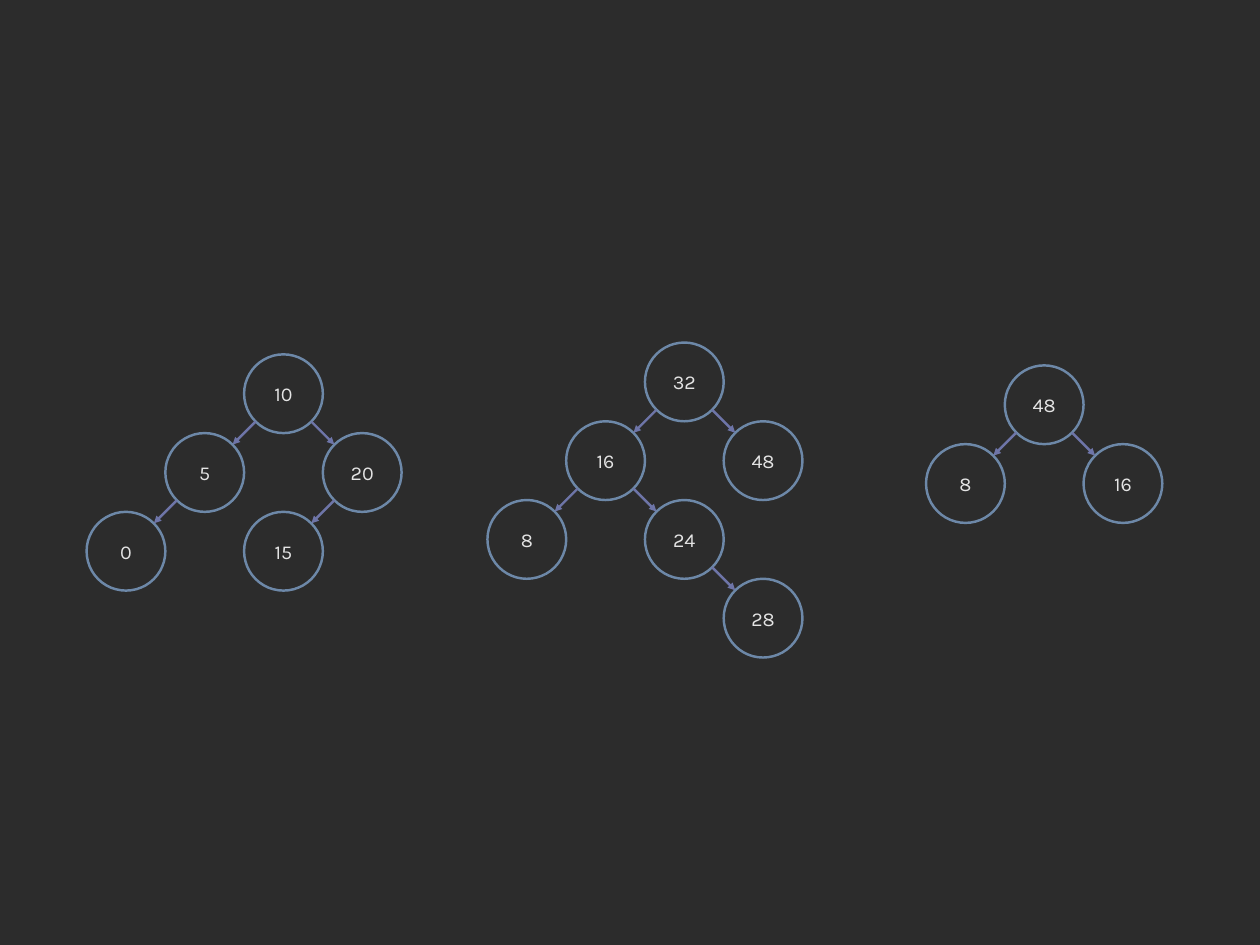
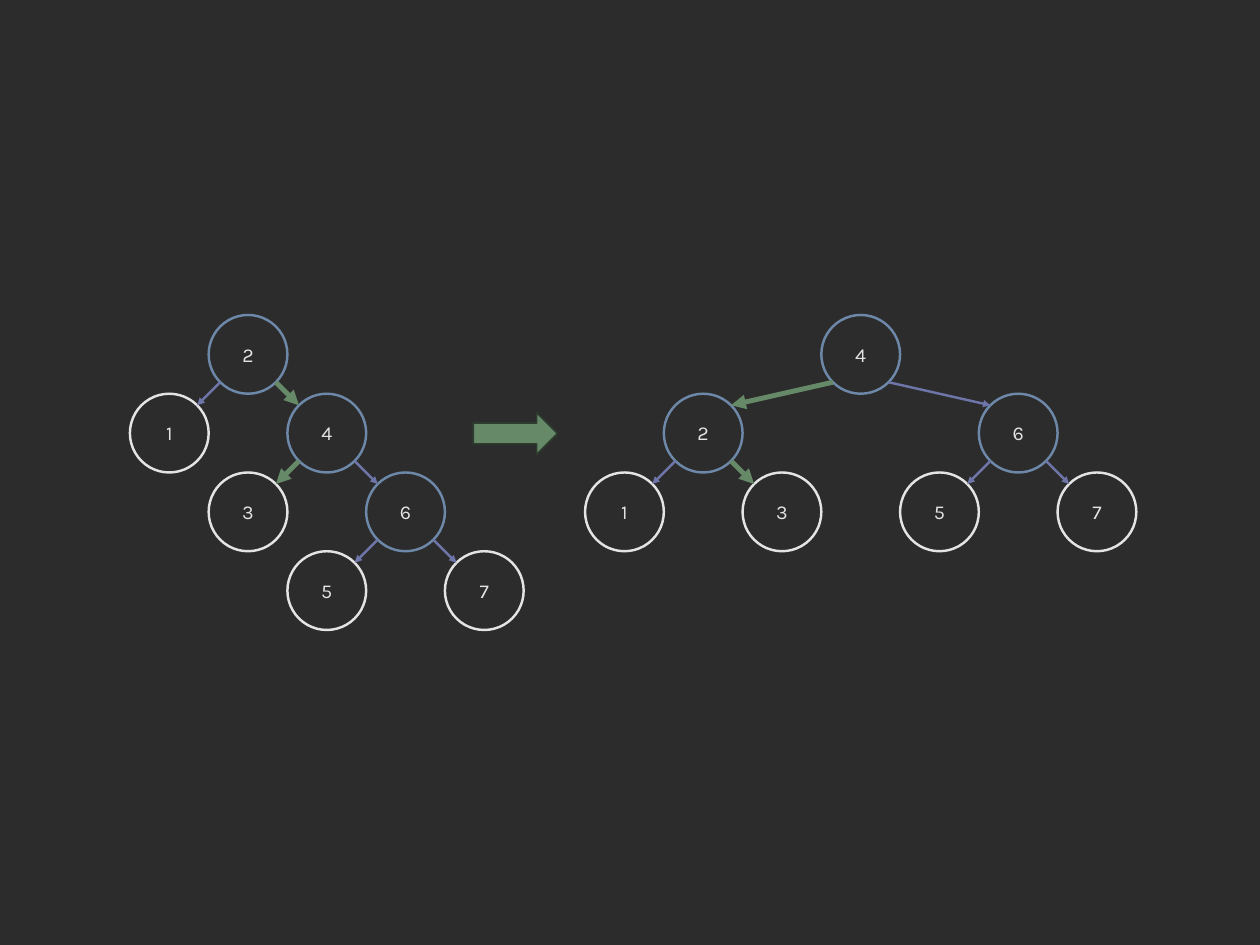
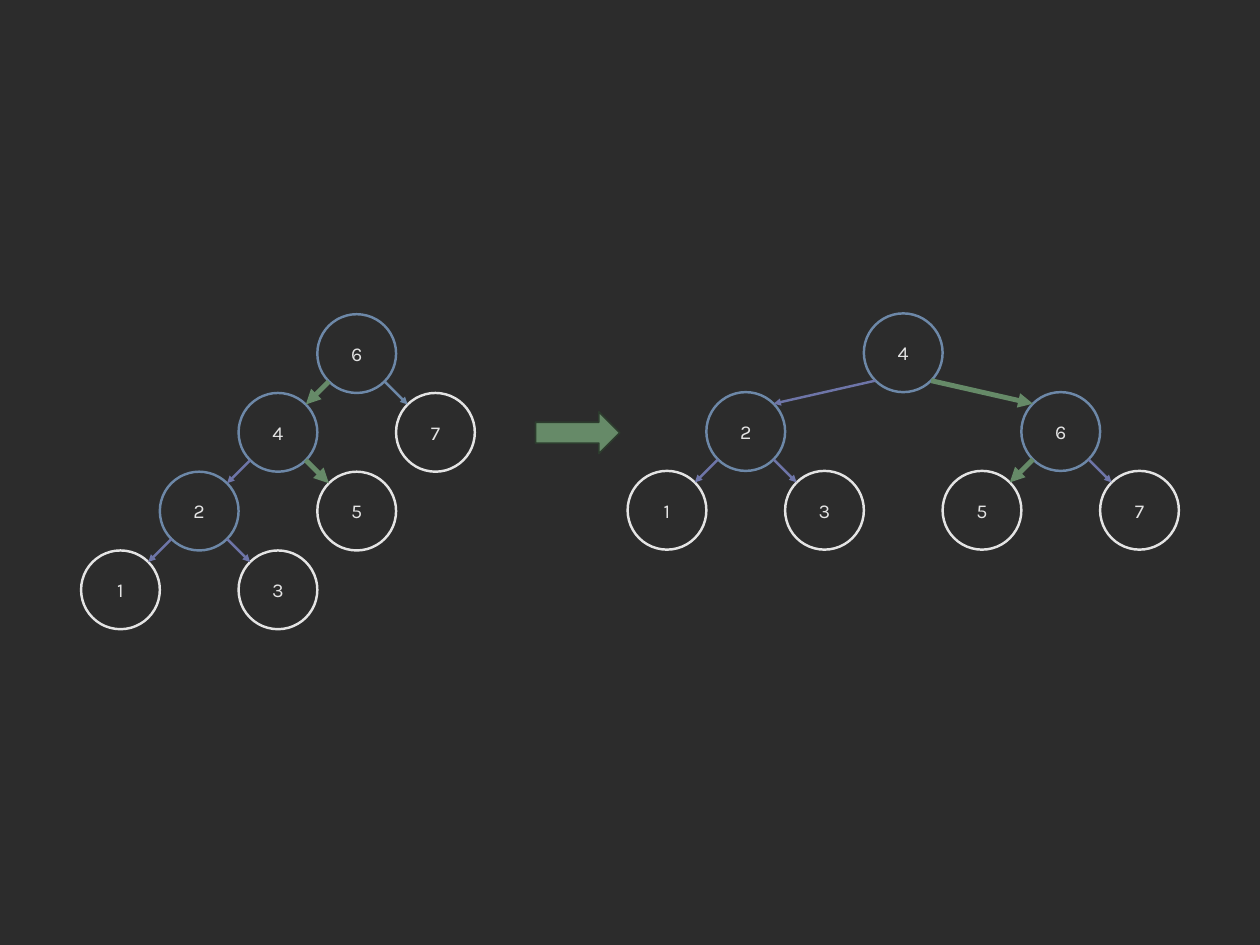
from math import sqrt
from lxml.etree import SubElement
from pptx import Presentation
from pptx.dml.color import RGBColor
from pptx.enum.shapes import MSO_CONNECTOR, MSO_SHAPE
from pptx.enum.text import MSO_ANCHOR, PP_ALIGN
from pptx.oxml.ns import qn
from pptx.util import Inches, Pt

COLORS = {
    "background": "2C2C2C",
    "node": "6D88A8",
    "leaf": "E4E4E4",
    "text": "E4E4E4",
    "link": "6E75A8",
    "moved": "668A68",
    "arrow_edge": "2D3C2E",
}
FONT = "Karla"
DIAMETER = 1
PITCH = 1
DIAGONAL = DIAMETER / 2 * sqrt(0.5)

BALANCED = {"4": (0, 0), "2": (-2, 1), "6": (2, 1),
            "1": (-3, 2), "3": (-1, 2), "5": (1, 2), "7": (3, 2)}
BALANCED_LINKS = ["42", "46", "21", "23", "65", "67"]

SLIDES = [
    {"trees": [
        {"root": (3.1, 4.5),
         "nodes": {"10": (0, 0), "5": (-1, 1), "20": (1, 1), "0": (-2, 2), "15": (0, 2)},
         "links": [("10", "5"), ("10", "20"), ("5", "0"), ("20", "15")]},
        {"root": (8.19, 4.35),
         "nodes": {"32": (0, 0), "16": (-1, 1), "48": (1, 1),
                   "8": (-2, 2), "24": (0, 2), "28": (1, 3)},
         "links": [("32", "16"), ("32", "48"), ("16", "8"), ("16", "24"), ("24", "28")]},
        {"root": (12.76, 4.64),
         "nodes": {"48": (0, 0), "8": (-1, 1), "16": (1, 1)},
         "links": [("48", "8"), ("48", "16")]},
    ]},
    {"mark_leaves": True, "arrow": (6.01, 5.24), "trees": [
        {"root": (2.65, 4),
         "nodes": {"2": (0, 0), "1": (-1, 1), "4": (1, 1), "3": (0, 2),
                   "6": (2, 2), "5": (1, 3), "7": (3, 3)},
         "links": ["21", "24", "43", "46", "65", "67"],
         "colors": {"24": "moved", "43": "moved"}},
        {"root": (10.43, 4), "nodes": BALANCED, "links": BALANCED_LINKS,
         "colors": {"42": "moved", "23": "moved"}},
    ]},
    {"mark_leaves": True, "arrow": (6.8, 5.23), "trees": [
        {"root": (4.03, 3.99),
         "nodes": {"6": (0, 0), "4": (-1, 1), "7": (1, 1), "2": (-2, 2),
                   "5": (0, 2), "1": (-3, 3), "3": (-1, 3)},
         "links": ["64", "67", "42", "45", "21", "23"],
         "colors": {"64": "moved", "45": "moved", "67": "node"}},
        {"root": (10.97, 3.98), "nodes": BALANCED, "links": BALANCED_LINKS,
         "colors": {"46": "moved", "65": "moved"}},
    ]},
]


def rgb(name):
    return RGBColor.from_string(COLORS[name])


def set_line(shape, color, width):
    shape.line.color.rgb = rgb(color)
    shape.line.width = Pt(width)


def add_node(s, label, left, top, color):
    node = s.shapes.add_shape(MSO_SHAPE.OVAL, Inches(left), Inches(top),
                              Inches(DIAMETER), Inches(DIAMETER))
    node.shadow.inherit = False
    node.fill.background()
    set_line(node, color, 2.25)
    tf = node.text_frame
    tf.margin_left = tf.margin_right = tf.margin_top = tf.margin_bottom = 0
    tf.vertical_anchor = MSO_ANCHOR.MIDDLE
    p = tf.paragraphs[0]
    p.text = label
    p.alignment = PP_ALIGN.CENTER
    font = p.runs[0].font
    font.name, font.size, font.color.rgb = FONT, Pt(18), rgb("text")


def add_link(s, parent, child, color):
    (x1, y1), (x2, y2) = parent, child
    dx = DIAGONAL if x2 > x1 else -DIAGONAL
    ends = (x1 + dx, y1 + DIAGONAL, x2 - dx, y2 - DIAGONAL)
    radius = DIAMETER / 2
    link = s.shapes.add_connector(MSO_CONNECTOR.STRAIGHT,
                                  *(Inches(v + radius) for v in ends))
    set_line(link, color, 4.5 if color == "moved" else 2.25)
    SubElement(link.line._get_or_add_ln(), qn("a:tailEnd"), type="triangle")
    SubElement(link._element.spPr, qn("a:effectLst"))


def add_tree(s, tree, mark_leaves):
    left, top = tree["root"]
    spots = {label: (left + col * PITCH, top + row * PITCH)
             for label, (col, row) in tree["nodes"].items()}
    parents = {parent for parent, child in tree["links"]}
    for label, spot in spots.items():
        is_leaf = mark_leaves and label not in parents
        add_node(s, label, *spot, "leaf" if is_leaf else "node")
    for link in tree["links"]:
        parent, child = link
        color = tree.get("colors", {}).get(link, "link")
        add_link(s, spots[parent], spots[child], color)


def add_arrow(s, left, top):
    arrow = s.shapes.add_shape(MSO_SHAPE.RIGHT_ARROW, Inches(left), Inches(top),
                               Inches(1.07), Inches(0.53))
    arrow.shadow.inherit = False
    arrow.fill.solid()
    arrow.fill.fore_color.rgb = rgb("moved")
    set_line(arrow, "arrow_edge", 1.5)


def main():
    prs = Presentation()
    prs.slide_width, prs.slide_height = Inches(16), Inches(12)
    fill = prs.slide_master.background.fill
    fill.solid()
    fill.fore_color.rgb = rgb("background")
    for content in SLIDES:
        s = prs.slides.add_slide(prs.slide_layouts[6])
        for tree in content["trees"]:
            add_tree(s, tree, content.get("mark_leaves", False))
        if "arrow" in content:
            add_arrow(s, *content["arrow"])
    prs.save("out.pptx")


if __name__ == "__main__":
    main()
